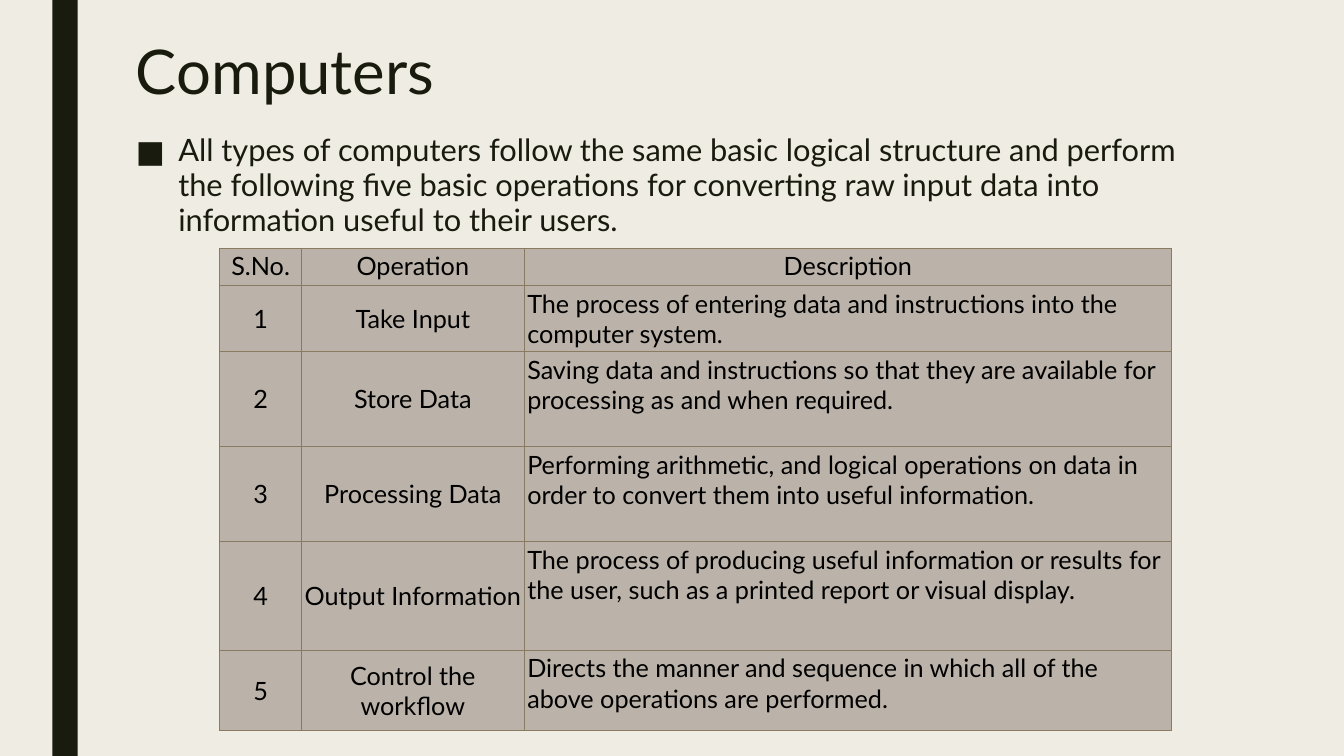
from lxml import etree
from pptx import Presentation
from pptx.dml.color import RGBColor
from pptx.enum import shapes, text
from pptx.oxml import ns
from pptx.util import Inches, Pt

TITLE = "Computers"
INTRO = ("All types of computers follow the same basic logical structure and perform "
         "the following five basic operations for converting raw input data into "
         "information useful to their users.")
HEADINGS = ("S.No.", "Operation", "Description")
OPERATIONS = [
    ("Take Input", "The process of entering data and instructions into the computer system."),
    ("Store Data", "Saving data and instructions so that they are available for processing "
                   "as and when required."),
    ("Processing Data", "Performing arithmetic, and logical operations on data in order to "
                        "convert them into useful information."),
    ("Output Information", "The process of producing useful information or results for the "
                           "user, such as a printed report or visual display."),
    ("Control the workflow", "Directs the manner and sequence in which all of the above "
                             "operations are performed."),
]
COLUMN_WIDTHS = (0.81, 2.21, 6.42)
ROW_HEIGHTS = (0.37, 0.66, 0.94, 0.94, 1.08, 0.8)
CELL_MARGIN = Inches(0.03)

FONT = "Lato"
CREAM = RGBColor(0xEF, 0xED, 0xE3)
DARK = RGBColor(0x19, 0x1B, 0x0E)
BLACK = RGBColor(0, 0, 0)
TAUPE = RGBColor(0xBB, 0xB3, 0xA9)
BROWN = RGBColor(0x89, 0x7B, 0x61)


def write(frame, words, size, color=DARK, align=text.PP_ALIGN.LEFT, line_spacing=None):
    frame.word_wrap = True
    paragraph = frame.paragraphs[0]
    paragraph.alignment = align
    if line_spacing:
        paragraph.line_spacing = line_spacing
    run = paragraph.add_run()
    run.text = words
    run.font.name = FONT
    run.font.size = Pt(size)
    run.font.color.rgb = color
    return paragraph


def add_bullet(paragraph, symbol, indent):
    properties = paragraph._p.get_or_add_pPr()
    properties.set("marL", str(indent))
    properties.set("indent", str(-indent))
    etree.SubElement(properties, ns.qn("a:buFont"), typeface=FONT)
    etree.SubElement(properties, ns.qn("a:buChar"), char=symbol)


def add_borders(cell, color, width):
    properties = cell._tc.get_or_add_tcPr()
    for position, side in enumerate(("lnL", "lnR", "lnT", "lnB")):
        line = etree.Element(ns.qn(f"a:{side}"), w=str(width))
        fill = etree.SubElement(line, ns.qn("a:solidFill"))
        etree.SubElement(fill, ns.qn("a:srgbClr"), val=str(color))
        properties.insert(position, line)


def add_operations_table(slide):
    rows = [HEADINGS] + [(str(number), *operation)
                         for number, operation in enumerate(OPERATIONS, 1)]
    table = slide.shapes.add_table(
        len(rows), len(HEADINGS), Inches(2.18), Inches(2.46),
        Inches(sum(COLUMN_WIDTHS)), Inches(sum(ROW_HEIGHTS))).table
    for column, width in zip(table.columns, COLUMN_WIDTHS):
        column.width = Inches(width)
    for row, height in zip(table.rows, ROW_HEIGHTS):
        row.height = Inches(height)
    for r, row in enumerate(rows):
        for c, words in enumerate(row):
            cell = table.cell(r, c)
            cell.margin_left = cell.margin_right = CELL_MARGIN
            cell.margin_top = cell.margin_bottom = CELL_MARGIN
            is_description = r > 0 and c == 2
            top = r == 0 or is_description
            cell.vertical_anchor = text.MSO_ANCHOR.TOP if top else text.MSO_ANCHOR.MIDDLE
            cell.fill.solid()
            cell.fill.fore_color.rgb = TAUPE
            add_borders(cell, BROWN, Pt(0.5))
            align = text.PP_ALIGN.LEFT if is_description else text.PP_ALIGN.CENTER
            write(cell.text_frame, words, 18, color=BLACK, align=align)


def main():
    presentation = Presentation()
    presentation.slide_width = Inches(13.33)
    presentation.slide_height = Inches(7.5)
    slide = presentation.slides.add_slide(presentation.slide_layouts[6])
    slide.background.fill.solid()
    slide.background.fill.fore_color.rgb = CREAM

    stripe = slide.shapes.add_shape(shapes.MSO_SHAPE.RECTANGLE, Inches(0.52), 0,
                                    Inches(0.25), presentation.slide_height)
    stripe.shadow.inherit = False
    stripe.fill.solid()
    stripe.fill.fore_color.rgb = DARK
    stripe.line.fill.background()

    title = slide.shapes.add_textbox(Inches(1.25), Inches(0.37), Inches(10.83), Inches(0.91))
    write(title.text_frame, TITLE, 44, line_spacing=0.89)

    intro = slide.shapes.add_textbox(Inches(1.25), Inches(1.28), Inches(10.83), Inches(1.74))
    paragraph = write(intro.text_frame, INTRO, 22, line_spacing=0.94)
    paragraph.space_before = Pt(10)
    paragraph.space_after = Pt(2)
    add_bullet(paragraph, "■", Inches(0.42))

    add_operations_table(slide)
    presentation.save("out.pptx")


if __name__ == "__main__":
    main()
